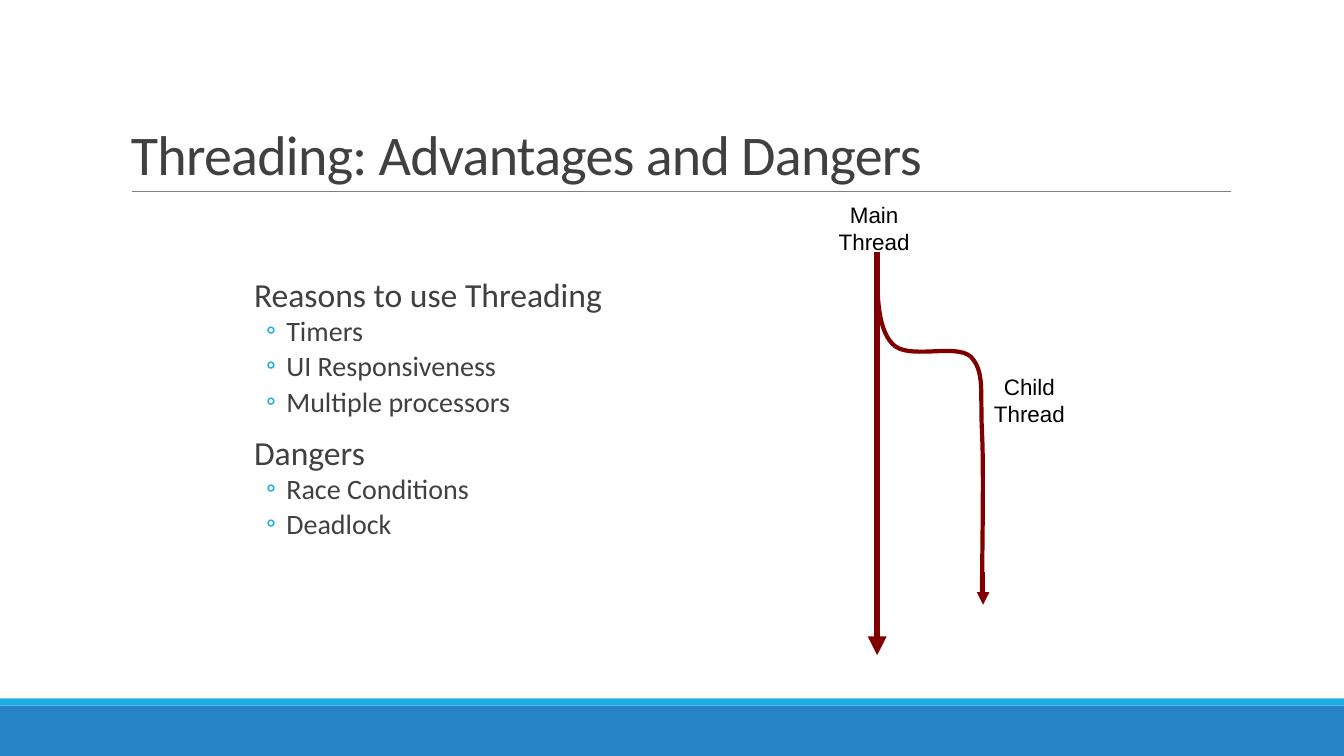
"""Build the slide on the advantages and dangers of threading."""
from lxml.etree import SubElement
from pptx import Presentation
from pptx.dml.color import RGBColor
from pptx.enum.shapes import MSO_CONNECTOR, MSO_SHAPE
from pptx.enum.text import MSO_ANCHOR, PP_ALIGN
from pptx.oxml.ns import qn
from pptx.util import Inches, Pt

TITLE = "Threading: Advantages and Dangers"
OUTLINE = {
    "Reasons to use Threading": ["Timers", "UI Responsiveness", "Multiple processors"],
    "Dangers": ["Race Conditions", "Deadlock"],
}
THREAD_LABELS = [(("Main", "Thread"), 8.22, 1.95), (("Child", "Thread"), 9.76, 3.65)]
BANDS = [(7, 0.5, "2683C6"), (6.93, 0.07, "1CADE4")]
RULE = ((1.31, 1.9), (12.21, 1.9))
MAIN_THREAD = ((8.7, 2.5), (8.7, 6.5))
CHILD_END = ((9.75, 5.67), (9.75, 6))
CHILD_START = (8.7, 2.5)
CHILD_CURVES = [
    ((8.7, 2.87), (8.69, 3.24), (8.85, 3.41)),
    ((9, 3.58), (9.48, 3.4), (9.63, 3.54)),
    ((9.77, 3.69), (9.72, 3.89), (9.74, 4.28)),
    ((9.76, 4.67), (9.74, 5.62), (9.74, 5.88)),
]
INK, ACCENT, THREAD = "404040", "1CADE4", "800000"
CURVE_STEPS = 16

deck = Presentation()
deck.slide_width, deck.slide_height = Inches(13.33), Inches(7.5)
slide = deck.slides.add_slide(deck.slide_layouts[6])


def color(value):
    return RGBColor.from_string(value)


def add_line(start, end, hue, width, arrow=False):
    line = slide.shapes.add_connector(
        MSO_CONNECTOR.STRAIGHT, *(Inches(v) for v in (*start, *end)))
    line.line.color.rgb = color(hue)
    line.line.width = Pt(width)
    if arrow:
        SubElement(line.line._get_or_add_ln(), qn("a:tailEnd"), type="triangle")
    SubElement(line._element.spPr, qn("a:effectLst"))


def add_frame(left, top, width, height, wrap=True):
    frame = slide.shapes.add_textbox(*map(Inches, (left, top, width, height))).text_frame
    frame.word_wrap = wrap
    return frame


def add_paragraph(frame, text, size, font, hue):
    first = frame.paragraphs[0]
    paragraph = frame.add_paragraph() if first.runs else first
    run = paragraph.add_run()
    run.text = text
    run.font.size, run.font.name = Pt(size), font
    run.font.color.rgb = color(hue)
    return paragraph


def add_entry(frame, text, size, before, after, margin, bullet=False):
    entry = add_paragraph(frame, text, size, "Calibri", INK)
    entry.line_spacing = 0.8
    entry.space_before, entry.space_after = Pt(before), Pt(after)
    props = entry._p.get_or_add_pPr()
    props.set("marL", str(Inches(margin)))
    if bullet:
        entry.level = 1
        props.set("indent", str(Inches(-0.2)))
        SubElement(SubElement(props, qn("a:buClr")), qn("a:srgbClr"), val=ACCENT)
        SubElement(props, qn("a:buFont"), typeface="Calibri")
        SubElement(props, qn("a:buChar"), char="◦")


def bezier(*points):
    for step in range(1, CURVE_STEPS + 1):
        t = step / CURVE_STEPS
        weights = ((1 - t) ** 3, 3 * t * (1 - t) ** 2, 3 * t * t * (1 - t), t ** 3)
        yield tuple(Inches(sum(w * p[axis] for w, p in zip(weights, points)))
                    for axis in (0, 1))


for top, height, hue in BANDS:
    band = slide.shapes.add_shape(
        MSO_SHAPE.RECTANGLE, 0, Inches(top), deck.slide_width, Inches(height))
    band.shadow.inherit = False
    band.fill.solid()
    band.fill.fore_color.rgb = color(hue)
    band.line.fill.background()
add_line(*RULE, "808080", 0.5)

heading = add_frame(1.2, 0.31, 11, 1.59)
heading.vertical_anchor = MSO_ANCHOR.BOTTOM
headline = add_paragraph(heading, TITLE, 40, "Calibri", INK)
headline.line_spacing = 0.85
headline.runs[0].font._element.set("spc", "-50")

outline = add_frame(2.42, 2.75, 8.5, 2.83)
outline.margin_left = outline.margin_right = 0
for topic, points in OUTLINE.items():
    add_entry(outline, topic, 24, 12, 2, 0.1)
    for point in points:
        add_entry(outline, point, 20, 2, 4, 0.42, bullet=True)

add_line(*MAIN_THREAD, THREAD, 4.5, arrow=True)
builder = slide.shapes.build_freeform(*map(Inches, CHILD_START))
curve_start = CHILD_START
for curve in CHILD_CURVES:
    builder.add_line_segments(bezier(curve_start, *curve), close=False)
    curve_start = curve[-1]
child_thread = builder.convert_to_shape()
child_thread.shadow.inherit = False
child_thread.fill.background()
child_thread.line.color.rgb = color(THREAD)
child_thread.line.width = Pt(3)
add_line(*CHILD_END, THREAD, 3, arrow=True)

for words, left, top in THREAD_LABELS:
    label = add_frame(left, top, 0.9, 0.64, wrap=False)
    for word in words:
        add_paragraph(label, word, 16, "Arial", "000000").alignment = PP_ALIGN.CENTER

deck.save("out.pptx")
